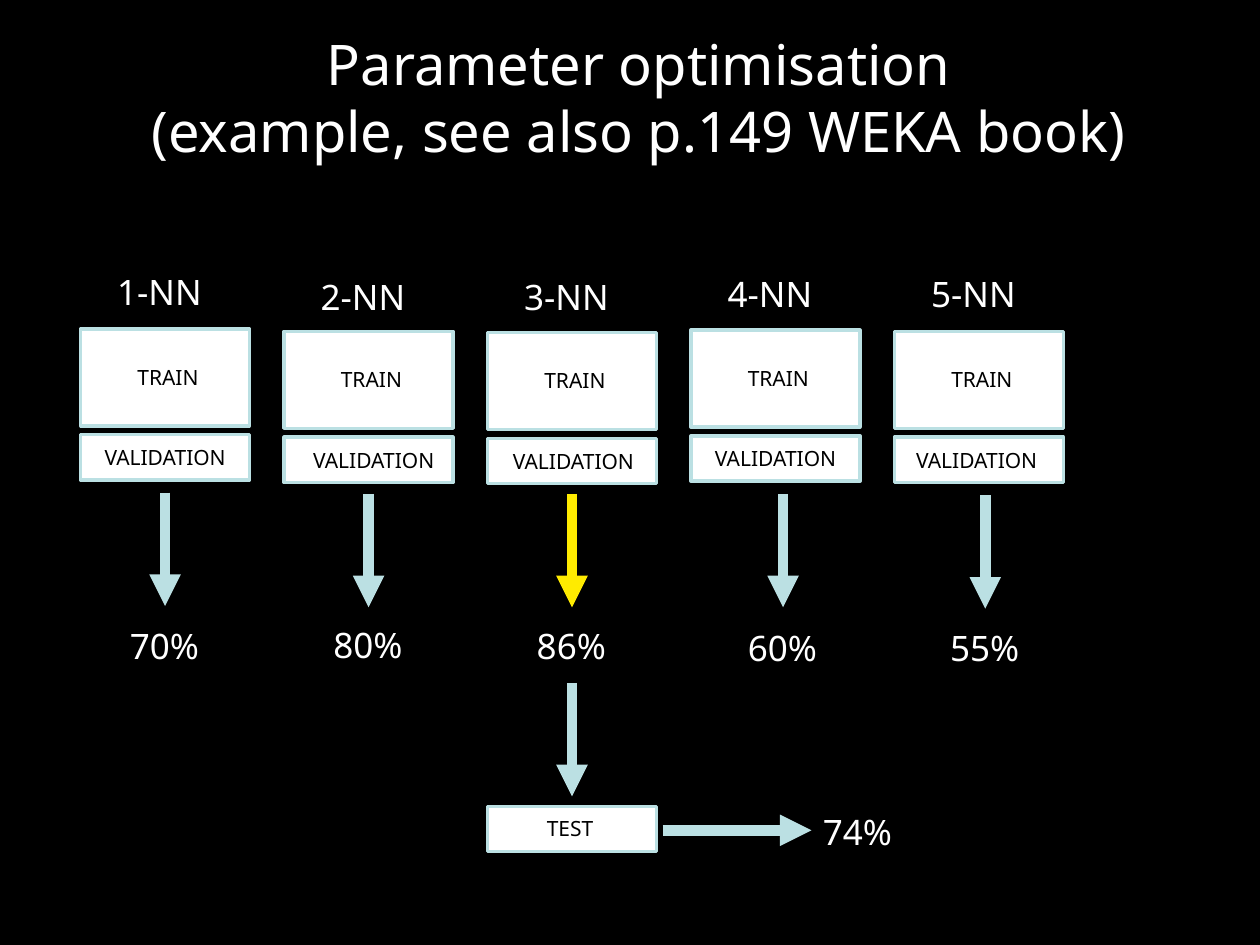
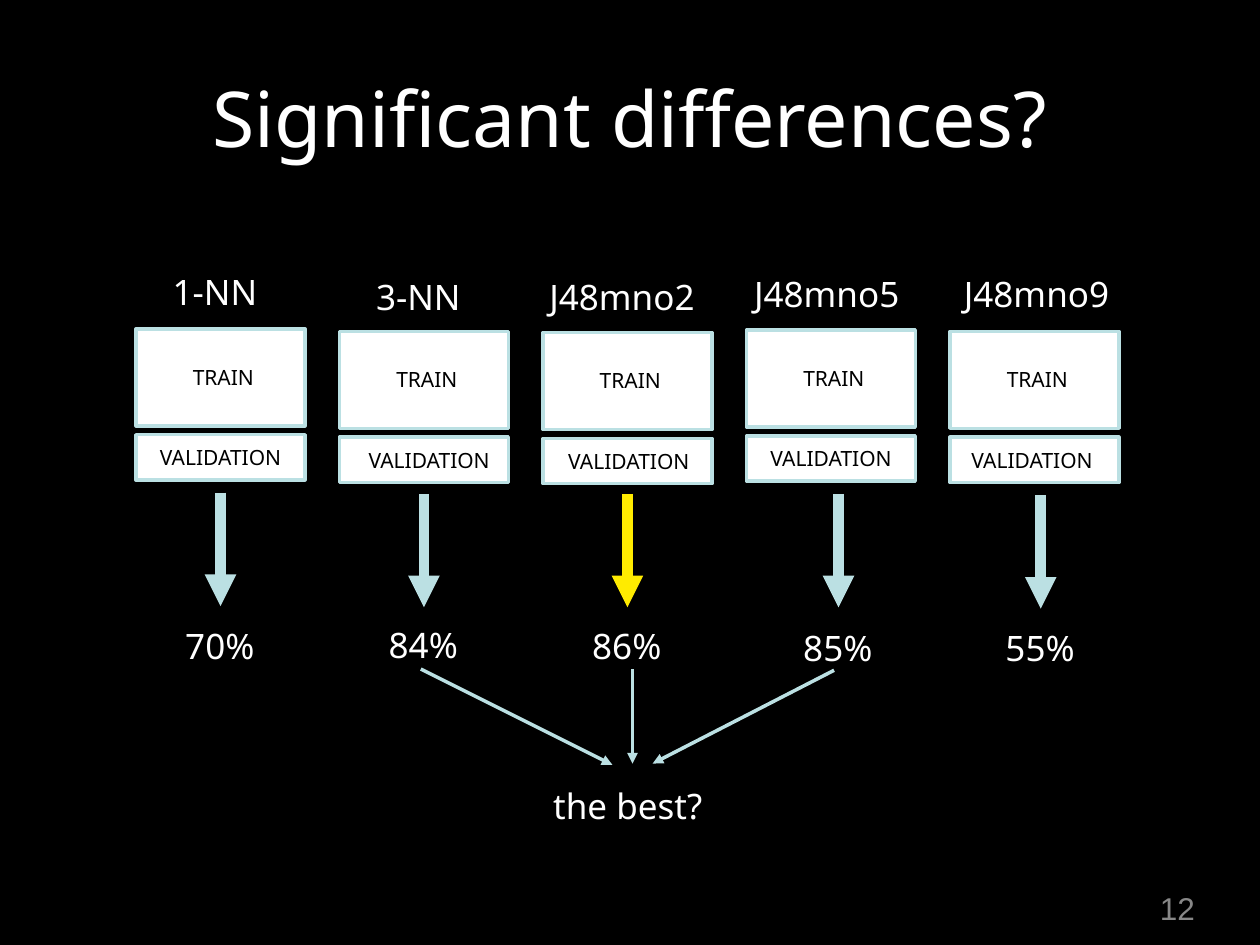
from lxml.etree import SubElement
from pptx import Presentation
from pptx.dml.color import RGBColor
from pptx.enum.shapes import MSO_CONNECTOR, MSO_SHAPE
from pptx.enum.text import MSO_ANCHOR, MSO_AUTO_SIZE, PP_ALIGN
from pptx.oxml.ns import qn
from pptx.util import Inches, Pt

BLACK, WHITE, PALE, YELLOW, GREY = "000000", "FFFFFF", "BBE0E3", "FFEB00", "878787"
FIRST_NAME_TOP = 2.1
COLUMN_STEP = 1.615
BOX_WIDTH, TRAIN_HEIGHT, STRIP_HEIGHT = 1.34, 0.77, 0.36
STRIP_DROP = 0.84
ARROW_LENGTH = 0.9
COLUMN_LAYOUT = [
    dict(name_top=2.1, box_top=2.61, strip_indent=0.14, strip_width=1.14,
         arrow_indent=0.67, arrow_top=3.91, score_top=4.91),
    dict(name_top=2.14, box_top=2.63, strip_indent=0.18, strip_width=1.14,
         arrow_indent=0.67, arrow_top=3.92, score_top=4.9),
    dict(name_top=2.14, box_top=2.64, strip_indent=0.15, strip_width=1.13,
         arrow_indent=0.67, arrow_top=3.92, score_top=4.91),
    dict(name_top=2.11, box_top=2.62, strip_indent=0.14, strip_width=1.16,
         arrow_indent=0.73, arrow_top=3.92, score_top=4.92),
    dict(name_top=2.11, box_top=2.63, strip_indent=0.12, strip_width=1.21,
         arrow_indent=0.72, arrow_top=3.93, score_top=4.92),
]


def color(hex_value):
    """Turn a hex string into a colour."""
    return RGBColor.from_string(hex_value)


class Deck:
    """Hold the presentation, its style and the current slide."""

    def __init__(self):
        """Start an empty deck of 10 by 7.5 inches."""
        self.presentation = Presentation()
        self.presentation.slide_width = Inches(10)
        self.presentation.slide_height = Inches(7.5)
        self.page = None

    def add_page(self):
        """Add a black slide and make it current."""
        self.page = self.presentation.slides.add_slide(self.presentation.slide_layouts[6])
        self.page.background.fill.solid()
        self.page.background.fill.fore_color.rgb = color(BLACK)

    def text(self, lines, left, top, width, height, size=20, ink=WHITE, font="Noto Sans",
             wrap=False, align=PP_ALIGN.LEFT, anchor=MSO_ANCHOR.TOP, inset=0.05,
             fit=MSO_AUTO_SIZE.SHAPE_TO_FIT_TEXT, group=None):
        """Add a text box with one paragraph for each line."""
        box = (group or self.page).shapes.add_textbox(
            Inches(left), Inches(top), Inches(width), Inches(height))
        frame = box.text_frame
        frame.word_wrap = wrap
        frame.auto_size = fit
        frame.vertical_anchor = anchor
        frame.margin_left = frame.margin_right = Inches(inset)
        frame.margin_top = frame.margin_bottom = Inches(inset)
        for index, line in enumerate(lines):
            para = frame.add_paragraph() if index else frame.paragraphs[0]
            para.alignment = align
            span = para.add_run()
            span.text = line
            span.font.name = font
            span.font.size = Pt(size)
            span.font.color.rgb = color(ink)

    def title(self, lines, left, top, size):
        """Add the centred slide title."""
        self.text(lines, left, top, 9, 1.65, size, wrap=True, align=PP_ALIGN.CENTER,
                  anchor=MSO_ANCHOR.MIDDLE, inset=0.04, fit=MSO_AUTO_SIZE.NONE)

    def label(self, caption, left, top, width, group, wrap=False):
        """Add the small black caption of a data box."""
        self.text([caption], left, top, width, 0.31, 12, BLACK, wrap=wrap, group=group)

    def score(self, value, left, top):
        """Add a percentage."""
        self.text([value], left, top, 0.65, 0.42)

    def data_box(self, left, top, height, group):
        """Add a white box with a pale rounded outline."""
        box = group.shapes.add_shape(MSO_SHAPE.RECTANGLE, Inches(left), Inches(top),
                                     Inches(BOX_WIDTH), Inches(height))
        box.shadow.inherit = False
        box.fill.solid()
        box.fill.fore_color.rgb = color(WHITE)
        box.line.color.rgb = color(PALE)
        box.line.width = Pt(2)
        SubElement(box.line._get_or_add_ln(), qn("a:round"))

    def arrow(self, start, end, ink=PALE, width=6):
        """Add a straight arrow from start to end."""
        line = self.page.shapes.add_connector(
            MSO_CONNECTOR.STRAIGHT, *(Inches(value) for value in (*start, *end)))
        line.line.color.rgb = color(ink)
        line.line.width = Pt(width)
        SubElement(line.line._get_or_add_ln(), qn("a:tailEnd"), type="triangle")
        SubElement(line._element.spPr, qn("a:effectLst"))

    def column(self, left, layout, name, name_indent, name_width, value, ink):
        """Add one model: name, data boxes, arrow and score."""
        top = layout["box_top"]
        self.text([name], left + name_indent, layout["name_top"], name_width, 0.42)
        group = self.page.shapes.add_group_shape()
        self.data_box(left, top, TRAIN_HEIGHT, group)
        self.data_box(left, top + STRIP_DROP, STRIP_HEIGHT, group)
        self.label("TRAIN", left + 0.4, top + 0.23, 0.61, group)
        self.label("VALIDATION", left + layout["strip_indent"], top + 0.87,
                   layout["strip_width"], group, wrap=True)
        center, start = left + layout["arrow_indent"], layout["arrow_top"]
        self.arrow((center, start), (center, start + ARROW_LENGTH), ink)
        self.score(value, center - 0.33, layout["score_top"])

    def columns(self, left, models):
        """Add the row of models, the middle one with a yellow arrow."""
        for index, (layout, model) in enumerate(zip(COLUMN_LAYOUT, models)):
            self.column(left + index * COLUMN_STEP, layout, *model,
                        ink=YELLOW if index == 2 else PALE)


def build_optimisation(deck):
    """Build the slide on parameter optimisation."""
    deck.add_page()
    deck.title(["Parameter optimisation", "(example, see also p.149 WEKA book)"],
               0.57, -0.06, 32)
    scores = ["70%", "80%", "86%", "60%", "55%"]
    deck.columns(0.64, [(f"{count}-NN", 0.24, 0.86, score)
                        for count, score in enumerate(scores, 1)])
    group = deck.page.shapes.add_group_shape()
    deck.data_box(3.87, 6.4, STRIP_HEIGHT, group)
    deck.label("TEST", 4.29, 6.42, 0.5, group)
    deck.arrow((4.54, 5.42), (4.54, 6.32))
    deck.arrow((5.26, 6.59), (6.44, 6.59))
    deck.score("74%", 6.48, 6.38)


def build_differences(deck):
    """Build the slide on significant differences."""
    deck.add_page()
    deck.text(["12"], 9.13, 7.01, 0.43, 0.39, 18, GREY, "Arial",
              align=PP_ALIGN.CENTER, anchor=MSO_ANCHOR.MIDDLE)
    deck.title(["Significant differences?"], 0.5, 0.1, 44)
    deck.columns(1.08, [
        ("1-NN", 0.24, 0.86, "70%"),
        ("3-NN", 0.24, 0.86, "84%"),
        ("J48mno2", 0, 1.33, "86%"),
        ("J48mno5", 0.01, 1.33, "85%"),
        ("J48mno9", 0.06, 1.33, "55%"),
    ])
    deck.text(["the best?"], 4.34, 6.18, 1.33, 0.42)
    for start, end in [((3.34, 5.31), (4.86, 6.07)),
                       ((6.62, 5.32), (5.18, 6.06)),
                       ((5.02, 5.31), (5.02, 6.06))]:
        deck.arrow(start, end, width=2)


def main():
    """Build and save the deck."""
    deck = Deck()
    build_optimisation(deck)
    build_differences(deck)
    deck.presentation.save("out.pptx")


if __name__ == "__main__":
    main()
